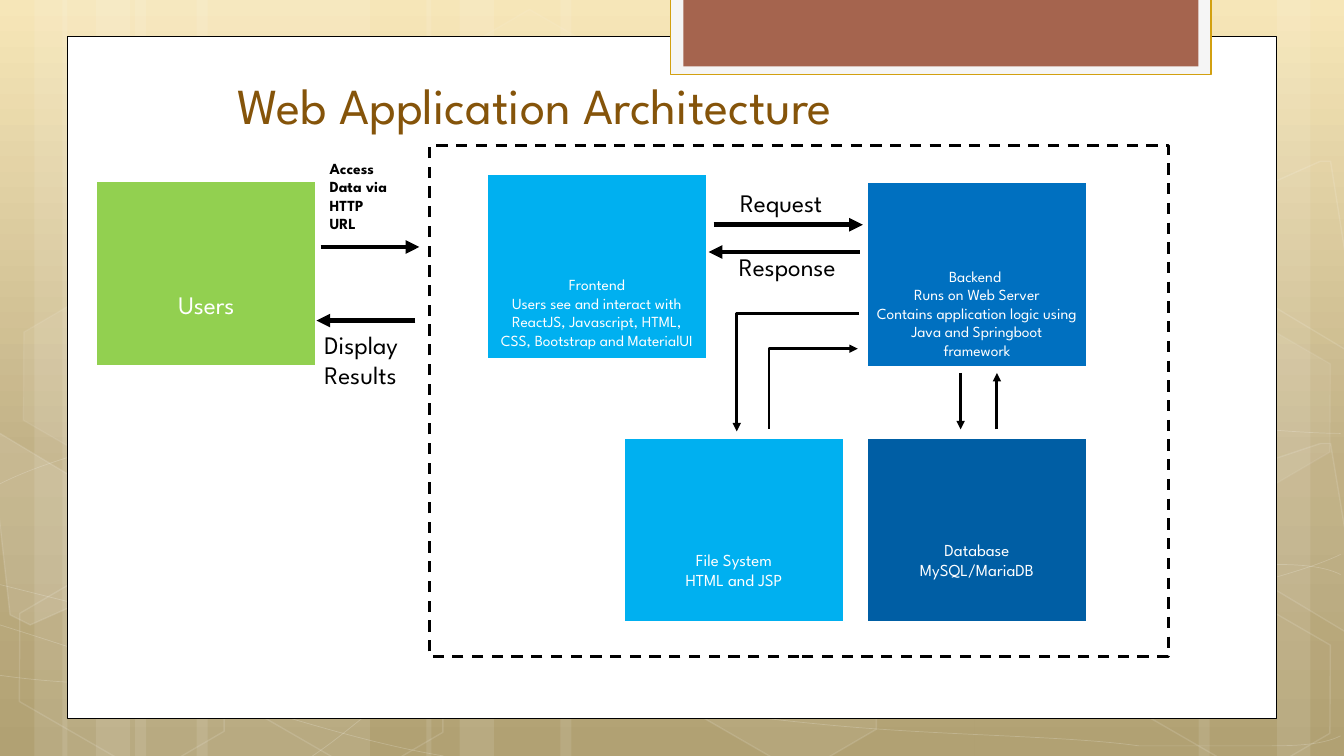
"""Build the web application architecture slide."""
import pptx
import pptx.dml.color
import pptx.enum.dml
import pptx.enum.shapes
import pptx.enum.text
import pptx.oxml
import pptx.oxml.ns
import pptx.util

CELL = pptx.util.Inches(0.1)
COLS, ROWS = 133.33, 75
FONT = "League Spartan"
HUE = {
    "white": "FFFFFF", "black": "000000", "title": "85540A",
    "tab": "F5F5F5", "gold": "D2A010", "brick": "A5644E",
    "green": "92D050", "sky": "00B0F0", "blue": "0070C0", "navy": "005EA4",
    "top": "F6E4B0", "mid": "BAA878", "low": "A99764",
}
KIND = pptx.enum.shapes.MSO_SHAPE
JOIN = pptx.enum.shapes.MSO_CONNECTOR
SIDE = pptx.enum.text.PP_ALIGN
EDGE = pptx.enum.text.MSO_ANCHOR
DASH = pptx.enum.dml.MSO_LINE.DASH

BARS = [(13.4, 23.3), (0, 6.7), (3.4, 11.1), (19.5, 23.3), (6.2, 6.7),
        (9.5, 11.1), (96.7, 23.3), (126.7, 6.7), (118.9, 11.1),
        (55.6, 41.1), (42.3, 6.7), (45.6, 11.1)]
WAVES = [
    [(-.1, 67.3), (7.1, 67.6), (14.3, 67.9), (24.3, 67.8), (34.3, 67.7),
     (46.6, 67.5), (59.9, 66.5), (73.3, 65.5), (92.2, 63.6), (104.5, 61.7),
     (116.7, 59.8), (129.2, 56.8), (133.2, 55.1)],
    [(-.1, 47.7), (3.7, 46.1), (7.5, 44.6), (15.1, 43.1), (22.7, 41.6),
     (33.4, 39.4), (45.2, 38.7), (57.1, 38), (71.4, 37.9), (86.1, 38.7),
     (100.8, 39.5), (125.2, 42.6), (133.2, 43.4)],
    [(-.3, 61.7), (15.8, 67.2), (31.9, 72.7), (43.5, 74.9)],
    [(-.1, 57.8), (4, 58.9), (8.2, 60), (16, 61.6), (23.7, 63.1),
     (35.3, 65.6), (46.4, 67.3), (57.6, 69), (71.6, 70.8), (82.6, 71.8),
     (93.7, 72.9), (105.5, 73.3), (112.6, 73.6), (119.6, 74),
     (121.4, 73.8), (124.9, 73.8), (128.3, 73.7), (130.8, 73.5), (133.2, 73.4)],
    [(31.2, 74.9), (33.6, 72.9), (35.9, 70.9), (39.2, 69.1), (42.4, 67.3),
     (46.9, 65.3), (50.6, 63.9), (54.3, 62.5), (56.6, 61.9), (61.5, 60.9),
     (66.4, 59.9), (75.4, 58.5), (80, 57.8), (84.7, 57.1), (85.4, 57.1),
     (89.6, 56.9), (93.7, 56.6), (100.2, 56.3), (104.8, 56.2),
     (109.4, 56.1), (117.1, 56.2), (117.1, 56.2), (120, 56.2), (123, 56.2),
     (125.9, 56.2), (128.4, 56.3), (130.6, 56.4), (133, 56.6)],
]
HEXES = [(43.4, 3.6, 4, 8), (65.1, 58.9, 6, 12), (.4, 59.1, 0, 12),
         (.8, 31.2, 7, 8), (22.1, 59.2, 0, 12), (110.1, 59.3, 0, 12),
         (110.1, 31.4, 7, 8)]
SHARDS = [
    ([(-1.1, 43.4), (.2, 42.8), (10.4, 48.7), (11.6, 58.1), (2.8, 61.8),
      (1.3, 60.9)], 10),
    ([(122.4, 47.4), (131.2, 43.7), (132.1, 44.3), (134.6, 62.5),
      (133.8, 62.8), (123.6, 56.9)], 4),
    ([(122.4, 19.6), (131.2, 15.9), (132.3, 16.5), (134.6, 34.6),
      (133.8, 35), (123.6, 29.1)], 0),
]
CARDS = [
    (9.55, 17.95, "green", 18, 4.6, ["Users"]),
    (61.9, 43.4, "sky", 12, 3.2, ["File System", "HTML and JSP"]),
    (86, 43.4, "navy", 12, 4.2, ["Database", "MySQL/MariaDB"]),
    (86, 18.1, "blue", 11, .8, [
        "Backend ", "Runs on Web Server",
        "Contains application logic using Java and Springboot framework"]),
    (48.3, 17.3, "sky", 11, 1, [
        "Frontend", "Users see and interact with ReactJS, Javascript, HTML, "
        "CSS, Bootstrap and MaterialUI"]),
]
NOTES = [
    ((31.2, 32.1, 10.7, 7.1), 18, False, SIDE.LEFT, 1, ["Display", "Results"]),
    ((28.4, 15.25, 14.4, 8.4), 11, True, SIDE.LEFT, 4.3,
     ["Access", "Data via", "HTTP", "URL"]),
    ((70.3, 18.05, 14.4, 4), 18, False, SIDE.CENTER, 1, ["Request"]),
    ((70.9, 24.4, 14.4, 4), 18, False, SIDE.CENTER, 1, ["Response"]),
]
ARROWS = [
    (31.8, 24.5, 41.6, 24.5, 3.25), (41.2, 31.8, 31.4, 31.8, 3.25),
    (70.8, 22.3, 85.6, 22.3, 3.25), (85.3, 25, 70.3, 25, 3.25),
    (95.3, 37, 95.3, 42.6, 2), (98.9, 42.6, 98.9, 37, 2),
]
BENDS = [(85.2, 31.1, 73.1, 42.8, "tailEnd"), (85.1, 34.6, 76.3, 42.6, "headEnd")]


def grid(*cells):
    """Turn grid cells into lengths."""
    return [round(cell * CELL) for cell in cells]


def rgb(name):
    """Look up a colour by name."""
    return pptx.dml.color.RGBColor.from_string(HUE[name])


def add(node, tag, **attrs):
    """Append a drawing element to a node and return it."""
    sub = pptx.oxml.parse_xml(f"<a:{tag} {pptx.oxml.ns.nsdecls('a')}/>")
    for key, val in attrs.items():
        sub.set(key, val)
    node.append(sub)
    return sub


def paint(fill, name, share=100):
    """Fill with a colour at a share of opacity, or with nothing at zero."""
    if not share:
        fill.background()
        return
    fill.solid()
    fill.fore_color.rgb = rgb(name)
    if share < 100:
        node = fill._xPr.find(".//" + pptx.oxml.ns.qn("a:srgbClr"))
        add(node, "alpha", val=str(share * 1000))


def style(shape, name, share=100, line=None, width=1, haze=100):
    """Set the fill and outline of a shape."""
    shape.shadow.inherit = False
    paint(shape.fill, name, share)
    paint(shape.line.fill, line, haze if line else 0)
    if line:
        shape.line.width = pptx.util.Pt(width)
    return shape


def block(slide, box, name, share=100, line=None, width=1):
    """Add a rectangle."""
    shape = slide.shapes.add_shape(KIND.RECTANGLE, *grid(*box))
    return style(shape, name, share, line, width)


def outline(slide, dots, closed):
    """Add a freeform through the given dots."""
    pen = slide.shapes.build_freeform(*dots[0], scale=CELL)
    pen.add_line_segments(dots[1:], close=closed)
    return pen.convert_to_shape()


def wave(slide, knots):
    """Add an open chain of cubic curves."""
    shape = outline(slide, knots, False)
    track = shape._element.find(".//" + pptx.oxml.ns.qn("a:path"))
    legs = track.findall(pptx.oxml.ns.qn("a:lnTo"))
    for i in range(0, len(legs), 3):
        bend = add(track, "cubicBezTo")
        for leg in legs[i:i + 3]:
            bend.append(leg[0])
            track.remove(leg)
    style(shape, "white", 0, "white", .5, 20)


def write(frame, lines, size, hue, align, anchor, bold=False):
    """Write one paragraph per line."""
    frame.word_wrap = True
    frame.vertical_anchor = anchor
    for i, line in enumerate(lines):
        para = frame.add_paragraph() if i else frame.paragraphs[0]
        para.alignment = align
        run = para.add_run()
        run.text = line
        run.font.name, run.font.size, run.font.bold = FONT, pptx.util.Pt(size), bold
        run.font.color.rgb = rgb(hue)


def arrow(slide, ends, width, tip="tailEnd", kind=JOIN.STRAIGHT):
    """Add a black arrow, straight or with one bend."""
    link = slide.shapes.add_connector(kind, *grid(*ends))
    link.line.color.rgb = rgb("black")
    link.line.width = pptx.util.Pt(width)
    add(link.line._get_or_add_ln(), tip, type="triangle")
    add(link._element.spPr, "effectLst")
    if kind == JOIN.ELBOW:
        link._element.spPr.find(pptx.oxml.ns.qn("a:prstGeom")).set("prst", "bentConnector2")


def shade(master):
    """Set the gradient background."""
    stops = "".join(f'<a:gs pos="{pos}"><a:srgbClr val="{HUE[name]}"/></a:gs>'
                    for pos, name in ((0, "top"), (62000, "mid"), (100000, "low")))
    master.background.fill.background()
    base = master._element.cSld
    base.remove(base.find(pptx.oxml.ns.qn("p:bg")))
    base.insert(0, pptx.oxml.parse_xml(
        f"<p:bg {pptx.oxml.ns.nsdecls('p', 'a')}><p:bgPr><a:gradFill><a:gsLst>{stops}"
        '</a:gsLst><a:lin ang="5400000" scaled="0"/></a:gradFill><a:effectLst/>'
        "</p:bgPr></p:bg>"))


def decor(slide, master):
    """Draw the backdrop, panel and tab, and hand them to the master."""
    for left, width in BARS:
        block(slide, (left, 0, width, ROWS), "white", 10)
    for knots in WAVES:
        wave(slide, knots)
    for left, top, share, haze in HEXES:
        cell = slide.shapes.add_shape(KIND.HEXAGON, *grid(left, top, 23.4, 15.2))
        cell.adjustments[0] = .285
        cell.rotation = 30
        style(cell, "white", share, "white", 1, haze)
    for dots, share in SHARDS:
        style(outline(slide, dots, True), "white", share, "white", 1, 12)
    block(slide, (6.7, 3.6, 119.95, 67.65), "white", 100, "black", .5)
    block(slide, (66.5, -.2, 53.65, 7.6), "tab", 100, "gold", 1)
    block(slide, (67.8, -.2, 51.1, 6.8), "brick")
    for i, shape in enumerate(s for s in list(slide.shapes) if not s.is_placeholder):
        shape._element.nvSpPr.cNvPr.set("id", str(100 + i))
        master.shapes._spTree.append(shape._element)


def main():
    """Build and save the slide."""
    deck = pptx.Presentation()
    deck.slide_width, deck.slide_height = grid(COLS, ROWS)
    slide = deck.slides.add_slide(deck.slide_layouts[5])
    shade(deck.slide_master)
    decor(slide, deck.slide_master)
    zone = block(slide, (42.6, 14.45, 73.3, 50.7), "white", 100, "black", 2)
    zone.line.dash_style = DASH
    for left, top, name, size, gap, lines in CARDS:
        card = block(slide, (left, top, 21.85, 18.35), name, 100, "white", 1.5)
        card.text_frame.margin_bottom = grid(gap)[0]
        write(card.text_frame, lines, size, "white", SIDE.CENTER, EDGE.BOTTOM)
    title = slide.shapes.title
    title.left, title.top, title.width, title.height = grid(22.55, 7, 102.4, 6.9)
    write(title.text_frame, ["Web Application Architecture"], 36, "title",
          SIDE.LEFT, EDGE.BOTTOM)
    slide.shapes._spTree.append(title._element)
    for box, size, bold, align, inset, lines in NOTES:
        frame = slide.shapes.add_textbox(*grid(*box)).text_frame
        frame.margin_left = grid(inset)[0]
        write(frame, lines, size, "black", align, EDGE.MIDDLE, bold)
    for *ends, width in ARROWS:
        arrow(slide, ends, width)
    for *ends, tip in BENDS:
        arrow(slide, ends, 2, tip, JOIN.ELBOW)
    deck.save("out.pptx")


if __name__ == "__main__":
    main()
